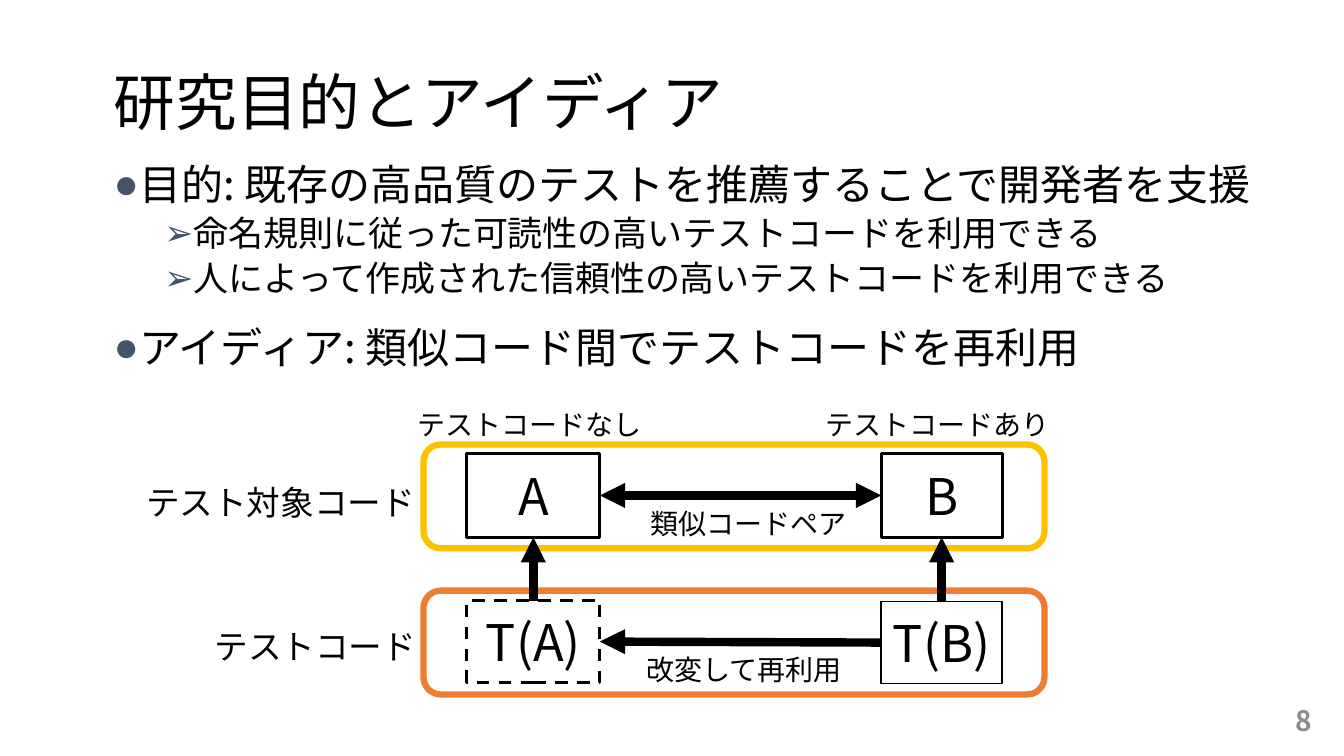
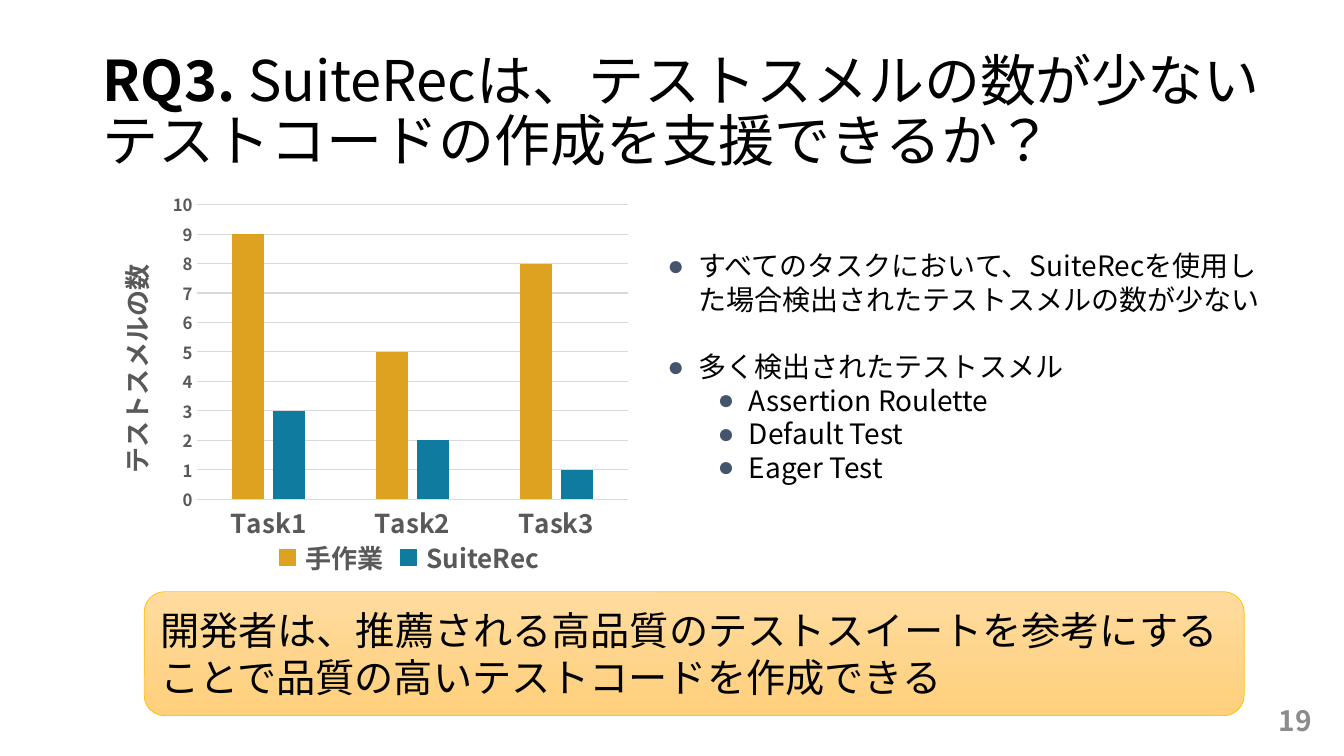
from lxml import etree
from pptx import Presentation
from pptx import util as u
from pptx.chart import data as chart_data
from pptx.dml.color import RGBColor
from pptx.enum import chart as ch, dml, lang, shapes, text
from pptx.oxml.ns import qn

SCALE = 9144  # EMU per px, 100 px to the inch
FONT = "Noto Sans CJK JP"
BLACK = RGBColor(0, 0, 0)
WHITE = RGBColor(255, 255, 255)
NUMBER_GREY = RGBColor(0x8C, 0x8C, 0x8C)
CHART_GREY = RGBColor(0x59, 0x59, 0x59)
GRID_GREY = RGBColor(0xD9, 0xD9, 0xD9)
BULLET_BLUE = RGBColor(0x44, 0x54, 0x6A)
YELLOW = RGBColor(0xFF, 0xC0, 0x00)
ORANGE = RGBColor(0xED, 0x7D, 0x31)
MANUAL = RGBColor(0xDE, 0xA2, 0x21)
ASSISTED = RGBColor(0x0F, 0x7B, 0x9E)
BANNER_TOP = RGBColor(0xFF, 0xDB, 0x9E)
BANNER_BOTTOM = RGBColor(0xFF, 0xD0, 0x7C)


def px(*lengths):
    return [u.Emu(n * SCALE) for n in lengths]


def add_run(paragraph, words, size, color=BLACK, bold=False):
    """Add a Japanese run whose Latin and East Asian fonts are both FONT."""
    run = paragraph.add_run()
    run.text = words
    run.font.language_id = lang.MSO_LANGUAGE_ID.JAPANESE
    run.font.size = u.Pt(size)
    run.font.bold = bold
    run.font.color.rgb = color
    run.font.name = FONT
    latin = run.font._element.find(qn("a:latin"))
    latin.addnext(etree.Element(qn("a:ea"), typeface=FONT))


prs = Presentation()
prs.slide_width, prs.slide_height = px(1333, 750)

# Titles and page numbers
pages = [
    ((103, 32, 1150, 145), 44, [("研究目的とアイディア", False)], "8"),
    ((92, 40, 1194, 145), 40,
     [("RQ3. ", True),
      ("SuiteRecは、テストスメルの数が少ないテストコードの作成を支援できるか？", False)], "19"),
]
for area, size, title_runs, number in pages:
    slide = prs.slides.add_slide(prs.slide_layouts[5])
    title = slide.shapes.title
    title.left, title.top, title.width, title.height = px(*area)
    title.text_frame.auto_size = text.MSO_AUTO_SIZE.NONE
    title.text_frame.vertical_anchor = text.MSO_ANCHOR.MIDDLE
    heading = title.text_frame.paragraphs[0]
    heading.alignment = text.PP_ALIGN.LEFT
    heading.line_spacing = 0.9
    for words, bold in title_runs:
        add_run(heading, words, size, bold=bold)
    page_number = slide.shapes.add_textbox(*px(1011, 695, 300, 40)).text_frame
    page_number.word_wrap = True
    page_number.vertical_anchor = text.MSO_ANCHOR.MIDDLE
    page_number.paragraphs[0].alignment = text.PP_ALIGN.RIGHT
    add_run(page_number.paragraphs[0], number, 20, NUMBER_GREY, True)

idea_slide, result_slide = prs.slides

# Bulleted lists: margin and hanging indent in px, then bullet, size, space before, words
lists = [
    (idea_slide, (103, 158, 1176, 229), 0.9, [
        (25, 25, "●", 30, 0, "目的: 既存の高品質のテストを推薦することで開発者を支援"),
        (75, 25, "➢", 25, 5, "命名規則に従った可読性の高いテストコードを利用できる"),
        (75, 25, "➢", 25, 5, "人によって作成された信頼性の高いテストコードを利用できる"),
        (25, 25, "●", 30, 20, "アイディア: 類似コード間でテストコードを再利用"),
    ]),
    (result_slide, (652, 242, 617, 246), 1.0, [
        (31, 31, "●", 20, 0,
         "すべてのタスクにおいて、SuiteRecを使用した場合検出されたテストスメルの数が少ない"),
        (31, 31, "●", 20, 24, "多く検出されたテストスメル"),
        (81, 31, "●", 20, 0, "Assertion Roulette"),
        (81, 31, "●", 20, 0, "Default Test"),
        (81, 31, "●", 20, 0, "Eager Test"),
    ]),
]
for slide, area, spacing, items in lists:
    frame = slide.shapes.add_textbox(*px(*area)).text_frame
    frame.word_wrap = True
    for i, (margin, hang, bullet, size, before, words) in enumerate(items):
        item = frame.add_paragraph() if i else frame.paragraphs[0]
        item.level = int(margin > hang)
        props = item._p.get_or_add_pPr()
        props.set("marL", str(margin * SCALE))
        props.set("indent", str(-hang * SCALE))
        tint = etree.SubElement(props, qn("a:buClr"))
        etree.SubElement(tint, qn("a:srgbClr"), val=str(BULLET_BLUE))
        etree.SubElement(props, qn("a:buFont"), typeface="Arial")
        etree.SubElement(props, qn("a:buChar"), char=bullet)
        item.line_spacing = spacing
        item.space_before = u.Pt(before)
        add_run(item, words, size)

# Diagram: code under test above, its tests below
for top, color in ((586, ORANGE), (441, YELLOW)):
    band = idea_slide.shapes.add_shape(
        shapes.MSO_SHAPE.FLOWCHART_ALTERNATE_PROCESS, *px(420, top, 616, 103))
    band.shadow.inherit = False
    band.fill.background()
    band.line.color.rgb = color
    band.line.width = u.Pt(4.5)

nodes = {}
for name, area, weight in (
    ("T(A)", (463, 596, 132, 81), 2.25),
    ("A", (463, 450, 132, 83), 2.25),
    ("T(B)", (874, 597, 120, 81), 1),
    ("B", (874, 450, 120, 83), 2.25),
):
    node = idea_slide.shapes.add_shape(shapes.MSO_SHAPE.RECTANGLE, *px(*area))
    node.shadow.inherit = False
    node.fill.solid()
    node.fill.fore_color.rgb = WHITE
    node.line.color.rgb = BLACK
    node.line.width = u.Pt(weight)
    node.text_frame.vertical_anchor = text.MSO_ANCHOR.MIDDLE
    node.text_frame.paragraphs[0].alignment = text.PP_ALIGN.CENTER
    add_run(node.text_frame.paragraphs[0], name, 36)
    nodes[name] = node
nodes["T(A)"].line.dash_style = dml.MSO_LINE.DASH

TOP, LEFT, BOTTOM, RIGHT = range(4)
for start, start_side, end, end_side, arrowheads in (
    ("T(B)", LEFT, "T(A)", RIGHT, ["tailEnd"]),
    ("A", RIGHT, "B", LEFT, ["headEnd", "tailEnd"]),
    ("T(A)", TOP, "A", BOTTOM, ["tailEnd"]),
    ("T(B)", TOP, "B", BOTTOM, ["tailEnd"]),
):
    arrow = idea_slide.shapes.add_connector(shapes.MSO_CONNECTOR.STRAIGHT, 0, 0, 0, 0)
    arrow.begin_connect(nodes[start], start_side)
    arrow.end_connect(nodes[end], end_side)
    arrow.line.color.rgb = BLACK
    arrow.line.width = u.Pt(6)
    for end_tag in arrowheads:
        etree.SubElement(arrow.line._get_or_add_ln(), qn(f"a:{end_tag}"), type="triangle")
    etree.SubElement(arrow._element.spPr, qn("a:effectLst"))

for area, size, words in (
    ((404, 399, 250, 44), 20, "テストコードなし"),
    ((809, 399, 250, 44), 20, "テストコードあり"),
    ((635, 498, 225, 44), 20, "類似コードペア"),
    ((631, 642, 217, 44), 20, "改変して再利用"),
    ((135, 473, 301, 50), 24, "テスト対象コード"),
    ((203, 616, 227, 50), 24, "テストコード"),
):
    label = idea_slide.shapes.add_textbox(*px(*area)).text_frame
    label.word_wrap = True
    add_run(label.paragraphs[0], words, size)

# Chart of test smells per task: name, values, colour, left of its legend key, label width
methods = [
    ("手作業", (9, 5, 8), MANUAL, 277, 122),
    ("SuiteRec", (3, 2, 1), ASSISTED, 397, 142),
]
smells = chart_data.CategoryChartData()
smells.categories = ["Task1", "Task2", "Task3"]
for name, values, *_ in methods:
    smells.add_series(name, values)
chart = result_slide.shapes.add_chart(
    ch.XL_CHART_TYPE.COLUMN_CLUSTERED, *px(92, 185, 542, 361), smells).chart
chart.has_title = False
chart.has_legend = False
plot = chart.plots[0]
plot.vary_by_categories = False
plot.gap_width = 219
plot.overlap = -27

for series, (name, _, color, left, width) in zip(plot.series, methods):
    series.format.fill.solid()
    series.format.fill.fore_color.rgb = color
    key = result_slide.shapes.add_shape(shapes.MSO_SHAPE.RECTANGLE, *px(left, 545, 16, 16))
    key.shadow.inherit = False
    key.fill.solid()
    key.fill.fore_color.rgb = color
    key.line.color.rgb = color
    key.line.width = u.Pt(1)
    key_label = result_slide.shapes.add_textbox(*px(left + 16, 533, width, 41)).text_frame
    key_label.word_wrap = True
    add_run(key_label.paragraphs[0], name, 18.6, CHART_GREY, True)

tasks, counts = chart.category_axis, chart.value_axis
for axis in (tasks, counts):
    axis.major_tick_mark = axis.minor_tick_mark = ch.XL_TICK_MARK.NONE
tasks.format.line.color.rgb = GRID_GREY
tasks.format.line.width = u.Pt(0.75)
counts.minimum_scale, counts.maximum_scale, counts.major_unit = 0, 10, 1
counts.format.line.fill.background()
counts.major_gridlines.format.line.color.rgb = GRID_GREY
counts.major_gridlines.format.line.width = u.Pt(0.75)
for font, size in (
    (chart.font, 10),
    (tasks.tick_labels.font, 18.6),
    (counts.tick_labels.font, 12),
):
    font.size = u.Pt(size)
    font.bold = True
    font.color.rgb = CHART_GREY
    font.name = FONT

axis_title = counts.axis_title.text_frame
axis_title._txBody.bodyPr.set("rot", "-5400000")
axis_title._txBody.bodyPr.set("vert", "horz")
add_run(axis_title.paragraphs[0], "テストスメルの数", 18.6, CHART_GREY, True)

# Fixed places inside the chart, as fractions of its frame
for part, position, place in (
    (chart._chartSpace.chart.plotArea, 0, {"x": 0.19, "y": 0.05, "w": 0.79, "h": 0.81}),
    (counts.axis_title._element, 1, {"x": 0.03, "y": 0.2}),
):
    for old in part.findall(qn("c:layout")):
        part.remove(old)
    layout = etree.Element(qn("c:layout"))
    part.insert(position, layout)
    manual = etree.SubElement(layout, qn("c:manualLayout"))
    if position == 0:
        etree.SubElement(manual, qn("c:layoutTarget"), val="inner")
    for side in "xy":
        etree.SubElement(manual, qn(f"c:{side}Mode"), val="edge")
    for side, fraction in place.items():
        etree.SubElement(manual, qn(f"c:{side}"), val=str(fraction))

# Conclusion
conclusion = result_slide.shapes.add_shape(
    shapes.MSO_SHAPE.ROUNDED_RECTANGLE, *px(143, 587, 1091, 123))
conclusion.shadow.inherit = False
conclusion.fill.gradient()
conclusion.fill.gradient_angle = 270
for stop, color in zip(conclusion.fill.gradient_stops, (BANNER_TOP, BANNER_BOTTOM)):
    stop.color.rgb = color
conclusion.line.color.rgb = YELLOW
conclusion.line.width = u.Pt(0.5)
conclusion.text_frame.vertical_anchor = text.MSO_ANCHOR.MIDDLE
conclusion.text_frame.paragraphs[0].alignment = text.PP_ALIGN.LEFT
add_run(conclusion.text_frame.paragraphs[0],
        "開発者は、推薦される高品質のテストスイートを参考にすることで品質の高いテストコードを作成できる", 28)

prs.save("out.pptx")
